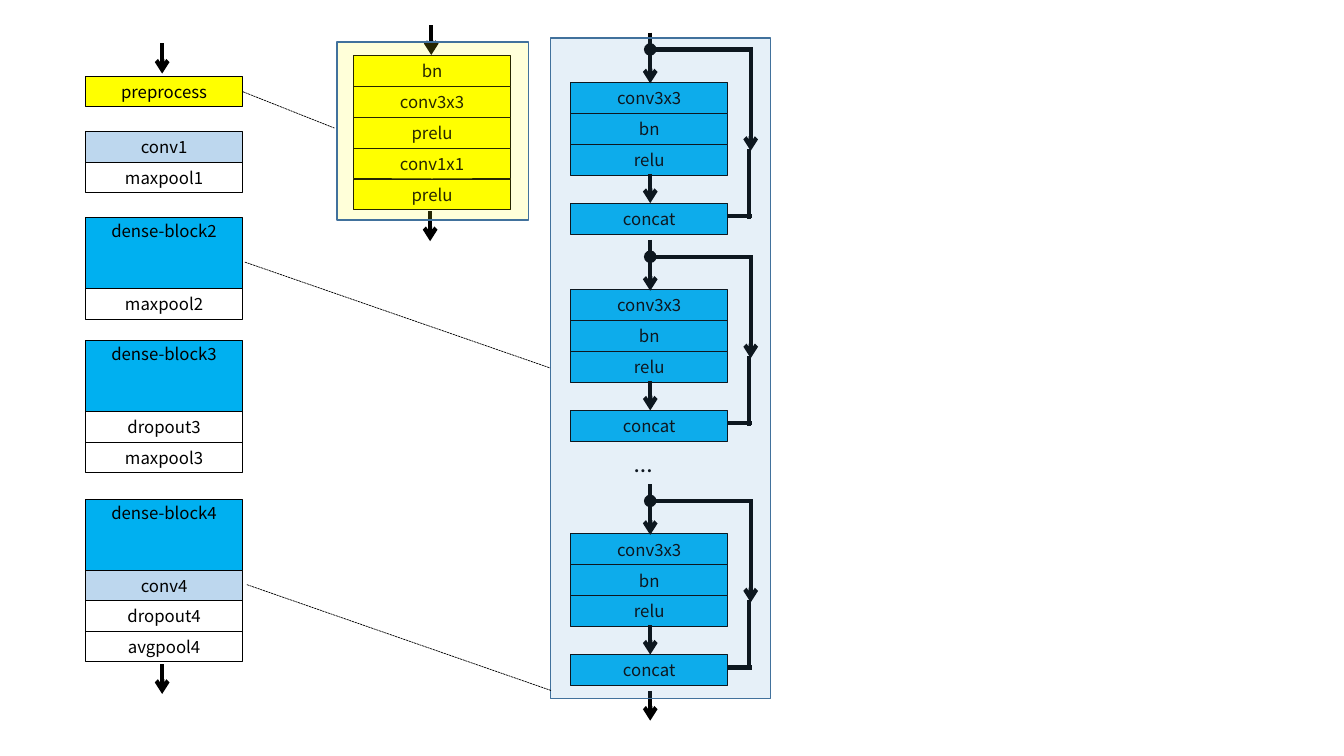
from dataclasses import dataclass
from typing import Optional

from pptx import Presentation
from pptx.dml.color import RGBColor
from pptx.enum.dml import MSO_LINE
from pptx.enum.shapes import MSO_CONNECTOR, MSO_SHAPE
from pptx.enum.text import MSO_ANCHOR, PP_ALIGN
from pptx.oxml.ns import qn
from pptx.oxml.xmlchemy import OxmlElement
from pptx.shapes.shapetree import SlideShapes
from pptx.util import Pt

BLACK = RGBColor(0x00, 0x00, 0x00)
YELLOW = RGBColor(0xFF, 0xFF, 0x00)
PALE_BLUE = RGBColor(0xBD, 0xD7, 0xEE)
BRIGHT_BLUE = RGBColor(0x00, 0xB0, 0xF0)
PANEL_BLUE = RGBColor(0x5B, 0x9B, 0xD5)
PANEL_EDGE = RGBColor(0x41, 0x71, 0x9C)

LAYER_WIDTH = 112.5
LAYER_HEIGHT = 21.8
DETAIL_HEIGHT = 22.1
DENSE_HEIGHT = 50.6
NETWORK_LEFT = 61
UNIT_LEFT = 407.7
UNIT_AXIS = 464.7


@dataclass(frozen=True)
class Layer:
    label: str
    fill: Optional[RGBColor] = None
    height: float = LAYER_HEIGHT


@dataclass(frozen=True)
class Stack:
    left: float
    top: float
    layers: tuple[Layer, ...]


@dataclass(frozen=True)
class Panel:
    left: float
    top: float
    width: float
    height: float
    fill: RGBColor


@dataclass(frozen=True)
class Link:
    x1: float
    y1: float
    x2: float
    y2: float
    head: Optional[str] = None
    tail: Optional[str] = None
    dashed: bool = False


def dense(label: str) -> Layer:
    return Layer(label, BRIGHT_BLUE, DENSE_HEIGHT)


def details(fill: RGBColor, *labels: str) -> tuple[Layer, ...]:
    return tuple(Layer(label, fill, DETAIL_HEIGHT) for label in labels)


def arrow(x: float, top: float, bottom: float) -> Link:
    return Link(x, top, x, bottom, tail="arrow")


NETWORK = (
    Stack(NETWORK_LEFT, 54.6, (Layer("preprocess", YELLOW),)),
    Stack(NETWORK_LEFT, 94, (Layer("conv1", PALE_BLUE), Layer("maxpool1"))),
    Stack(NETWORK_LEFT, 155.5, (dense("dense-block2"), Layer("maxpool2"))),
    Stack(NETWORK_LEFT, 243.5, (dense("dense-block3"), Layer("dropout3"), Layer("maxpool3"))),
    Stack(NETWORK_LEFT, 356.8, (dense("dense-block4"), Layer("conv4", PALE_BLUE),
                                Layer("dropout4"), Layer("avgpool4"))),
)
PREPROCESS = Stack(252.5, 39.5, details(YELLOW, "bn", "conv3x3", "prelu", "conv1x1", "prelu"))
UNIT_TOPS = (58.9, 207, 381.4)
FLOW_ARROWS = (arrow(115.9, 31, 52.6), arrow(115.9, 474.5, 495.7), arrow(UNIT_AXIS, 493.5, 514.8))
PREPROCESS_ARROWS = (arrow(308.2, 18, 39.3), arrow(307.4, 151, 172.3))
DENSE_PANEL = Panel(393.5, 27.2, 157.2, 471.8, PANEL_BLUE)
PREPROCESS_PANEL = Panel(240.9, 30, 136.9, 127.1, YELLOW)
CALLOUTS = (
    Link(173.5, 65.5, 239, 91.5, dashed=True),
    Link(175, 187.2, 393.1, 262.8, dashed=True),
    Link(176.4, 417.6, 393.8, 493.2, dashed=True),
)


def draw_layer(shapes: SlideShapes, layer: Layer, left: float, top: float) -> None:
    box = shapes.add_shape(MSO_SHAPE.RECTANGLE, Pt(left), Pt(top), Pt(LAYER_WIDTH), Pt(layer.height))
    box.shadow.inherit = False
    if layer.fill is None:
        box.fill.background()
    else:
        box.fill.solid()
        box.fill.fore_color.rgb = layer.fill
    box.line.color.rgb = BLACK
    box.line.width = Pt(0.75)
    frame = box.text_frame
    is_dense = layer.height == DENSE_HEIGHT
    frame.vertical_anchor = MSO_ANCHOR.TOP if is_dense else MSO_ANCHOR.MIDDLE
    frame.margin_top = frame.margin_bottom = Pt(2)
    paragraph = frame.paragraphs[0]
    paragraph.text = layer.label
    paragraph.alignment = PP_ALIGN.CENTER
    paragraph.font.name = "Noto Sans CJK SC"
    paragraph.font.size = Pt(12)
    paragraph.font.color.rgb = BLACK


def draw_stack(shapes: SlideShapes, stack: Stack) -> None:
    top = stack.top
    for layer in stack.layers:
        draw_layer(shapes, layer, stack.left, top)
        top += layer.height


def draw_link(shapes: SlideShapes, link: Link) -> None:
    connector = shapes.add_connector(
        MSO_CONNECTOR.STRAIGHT, Pt(link.x1), Pt(link.y1), Pt(link.x2), Pt(link.y2))
    connector.line.color.rgb = BLACK
    connector.line.width = Pt(0.5 if link.dashed else 3)
    if link.dashed:
        connector.line.dash_style = MSO_LINE.SQUARE_DOT
    properties = connector.element.spPr
    outline = properties.find(qn("a:ln"))
    for tag, kind in (("a:headEnd", link.head), ("a:tailEnd", link.tail)):
        if kind:
            end = OxmlElement(tag)
            end.set("type", kind)
            outline.append(end)
    properties.append(OxmlElement("a:effectLst"))


def draw_unit(shapes: SlideShapes, top: float) -> None:
    draw_stack(shapes, Stack(UNIT_LEFT, top, details(BRIGHT_BLUE, "conv3x3", "bn", "relu")))
    draw_stack(shapes, Stack(UNIT_LEFT, top + 86.2, details(BRIGHT_BLUE, "concat")))
    for link in (
        arrow(UNIT_AXIS, top - 35.6, top + 0.7),
        arrow(UNIT_AXIS, top + 65.1, top + 86.2),
        Link(UNIT_AXIS, top - 23.6, 538.3, top - 23.6, head="oval"),
        arrow(536.5, top - 23, top + 48.9),
        Link(519.4, top + 95.4, 537.3, top + 95.4),
        Link(535.2, top + 47.2, 535.2, top + 97.4),
    ):
        draw_link(shapes, link)


def draw_ellipsis(shapes: SlideShapes) -> None:
    box = shapes.add_textbox(Pt(445.7), Pt(316), Pt(92.9), Pt(28.8))
    box.text_frame.word_wrap = True
    paragraph = box.text_frame.paragraphs[0]
    paragraph.text = "..."
    paragraph.font.name = "Calibri"
    paragraph.font.size = Pt(18)
    paragraph.font.color.rgb = BLACK


def draw_panel(shapes: SlideShapes, panel: Panel) -> None:
    cover = shapes.add_shape(
        MSO_SHAPE.RECTANGLE, Pt(panel.left), Pt(panel.top), Pt(panel.width), Pt(panel.height))
    cover.shadow.inherit = False
    cover.fill.solid()
    cover.fill.fore_color.rgb = panel.fill
    alpha = OxmlElement("a:alpha")
    alpha.set("val", "15000")
    cover.element.spPr.find(qn("a:solidFill")).find(qn("a:srgbClr")).append(alpha)
    cover.line.color.rgb = PANEL_EDGE
    cover.line.width = Pt(1)


def main() -> None:
    deck = Presentation()
    deck.slide_width, deck.slide_height = Pt(960.48), Pt(540)
    shapes = deck.slides.add_slide(deck.slide_layouts[6]).shapes
    for stack in (*NETWORK, PREPROCESS):
        draw_stack(shapes, stack)
    for top in UNIT_TOPS:
        draw_unit(shapes, top)
    draw_ellipsis(shapes)
    for link in FLOW_ARROWS:
        draw_link(shapes, link)
    draw_panel(shapes, DENSE_PANEL)
    for link in PREPROCESS_ARROWS:
        draw_link(shapes, link)
    draw_panel(shapes, PREPROCESS_PANEL)
    for link in CALLOUTS:
        draw_link(shapes, link)
    deck.save("out.pptx")


if __name__ == "__main__":
    main()
